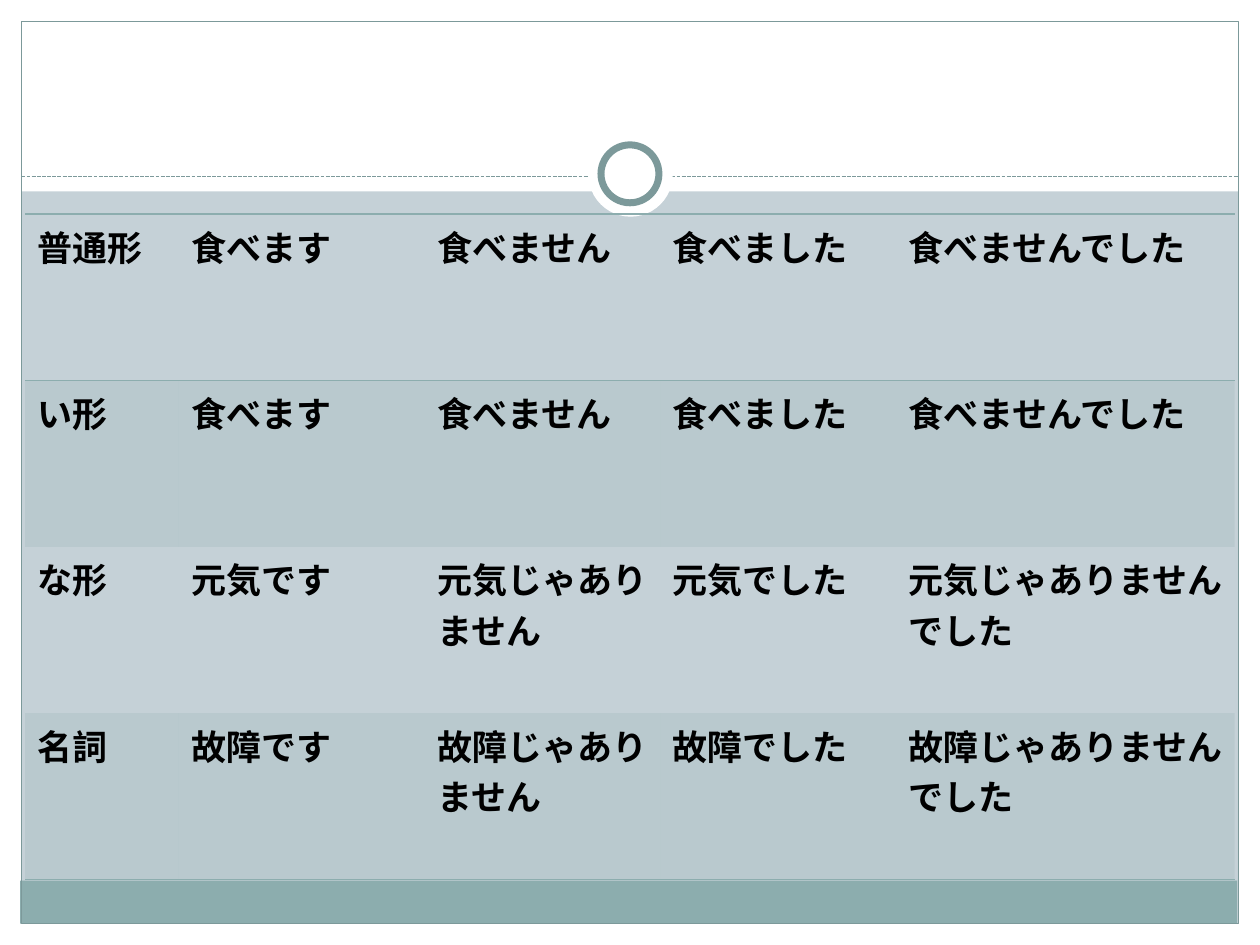
from lxml import etree
from pptx import Presentation
from pptx.dml.color import RGBColor
from pptx.enum.dml import MSO_LINE
from pptx.enum.shapes import MSO_CONNECTOR, MSO_SHAPE
from pptx.oxml.ns import qn
from pptx.util import Inches, Pt

RECT, OVAL = MSO_SHAPE.RECTANGLE, MSO_SHAPE.OVAL
STRAIGHT, DASH = MSO_CONNECTOR.STRAIGHT, MSO_LINE.SQUARE_DOT

WHITE = RGBColor(0xFF, 0xFF, 0xFF)
BLACK = RGBColor(0x00, 0x00, 0x00)
BACKGROUND = RGBColor(0xC5, 0xD1, 0xD7)
TEAL = RGBColor(0x8C, 0xAD, 0xAE)
DARK_TEAL = RGBColor(0x7C, 0x99, 0x9A)
LATIN_FONT, ASIAN_FONT = "TeX Gyre Schola", "Noto Sans CJK TC"
NO_STYLE = "{2D5ABB26-0587-4C30-8999-92F81FD0307C}"

# Content
ROWS = [
    ["普通形", "食べます", "食べません", "食べました", "食べませんでした"],
    ["い形", "食べます", "食べません", "食べました", "食べませんでした"],
    ["な形", "元気です", "元気じゃありません", "元気でした", "元気じゃありませんでした"],
    ["名詞", "故障です", "故障じゃありません", "故障でした", "故障じゃありませんでした"],
]
COL_WIDTHS = [1.22, 1.95, 1.87, 1.87, 2.69]
ROW_HEIGHT = 1.32
TABLE_LEFT, TABLE_TOP = 0.2, 1.7

# Frame parts: shape, left, top, width, height, fill, line colour, line width
FRAME = [
    (RECT, 0, 7.33, 10, 0.17, WHITE, None, 0),
    (RECT, 0, 0, 10, 1.52, WHITE, None, 0),
    (RECT, 0, 0, 0.17, 7.5, WHITE, None, 0),
    (RECT, 9.83, 0, 0.17, 7.5, WHITE, None, 0),
    (RECT, 0.16, 6.99, 9.66, 0.34, TEAL, None, 0),
    (RECT, 0.17, 0.17, 9.66, 7.16, None, DARK_TEAL, 0.75),
]
RING = [
    (OVAL, 4.67, 1.05, 0.67, 0.67, WHITE, None, 0),
    (OVAL, 4.77, 1.15, 0.46, 0.46, WHITE, DARK_TEAL, 4),
]


def set_fill(fill, color):
    if color is None:
        fill.background()
    else:
        fill.solid()
        fill.fore_color.rgb = color


def add_part(s, kind, left, top, width, height, fill, line, line_width):
    sp = s.shapes.add_shape(kind, *map(Inches, (left, top, width, height)))
    sp.shadow.inherit = False
    set_fill(sp.fill, fill)
    set_fill(sp.line.fill, line)
    if line is not None:
        sp.line.width = Pt(line_width)


def add_divider(s):
    y = Inches(1.4)
    line = s.shapes.add_connector(STRAIGHT, Inches(0.17), y, Inches(9.83), y)
    line.line.color.rgb = DARK_TEAL
    line.line.width = Pt(0.75)
    line.line.dash_style = DASH
    etree.SubElement(line._element.spPr, qn("a:effectLst"))


def add_border(cell, tag):
    ln = etree.SubElement(cell._tc.get_or_add_tcPr(), qn(tag), w=str(Pt(1)))
    fill = etree.SubElement(ln, qn("a:solidFill"))
    etree.SubElement(fill, qn("a:srgbClr"), val=str(TEAL))


def format_cell(cell, text, row, col):
    # Borders come before the fill in the cell properties
    if row == 0:
        add_border(cell, "a:lnT")
    if row in (0, len(ROWS) - 1):
        add_border(cell, "a:lnB")
    banded = row % 2 == 1
    set_fill(cell.fill, TEAL if banded else None)
    if banded:
        color = cell._tc.tcPr.find(qn("a:solidFill"))[0]
        etree.SubElement(color, qn("a:alpha"), val="20000")

    r = cell.text_frame.paragraphs[0].add_run()
    r.text = text
    r.font.size = Pt(20)
    r.font.bold = True
    r.font.color.rgb = BLACK
    r.font.name = LATIN_FONT if col == 0 else ASIAN_FONT
    etree.SubElement(r._r.get_or_add_rPr(), qn("a:ea"), typeface=ASIAN_FONT)


def add_forms_table(s):
    frame = s.shapes.add_table(
        len(ROWS), len(COL_WIDTHS), Inches(TABLE_LEFT), Inches(TABLE_TOP),
        Inches(sum(COL_WIDTHS)), Inches(ROW_HEIGHT * len(ROWS)))
    table = frame.table
    table.first_row = table.horz_banding = False
    table._tbl.tblPr.find(qn("a:tableStyleId")).text = NO_STYLE
    for column, width in zip(table.columns, COL_WIDTHS):
        column.width = Inches(width)
    for i, texts in enumerate(ROWS):
        table.rows[i].height = Inches(ROW_HEIGHT)
        for j, text in enumerate(texts):
            format_cell(table.cell(i, j), text, i, j)


def main():
    prs = Presentation()
    prs.slide_width, prs.slide_height = Inches(10), Inches(7.5)
    s = prs.slides.add_slide(prs.slide_layouts[6])
    set_fill(s.background.fill, BACKGROUND)

    # Frame, divider and ring
    for part in FRAME:
        add_part(s, *part)
    add_divider(s)
    for part in RING:
        add_part(s, *part)

    # Table of polite forms
    add_forms_table(s)
    prs.save("out.pptx")


if __name__ == "__main__":
    main()
